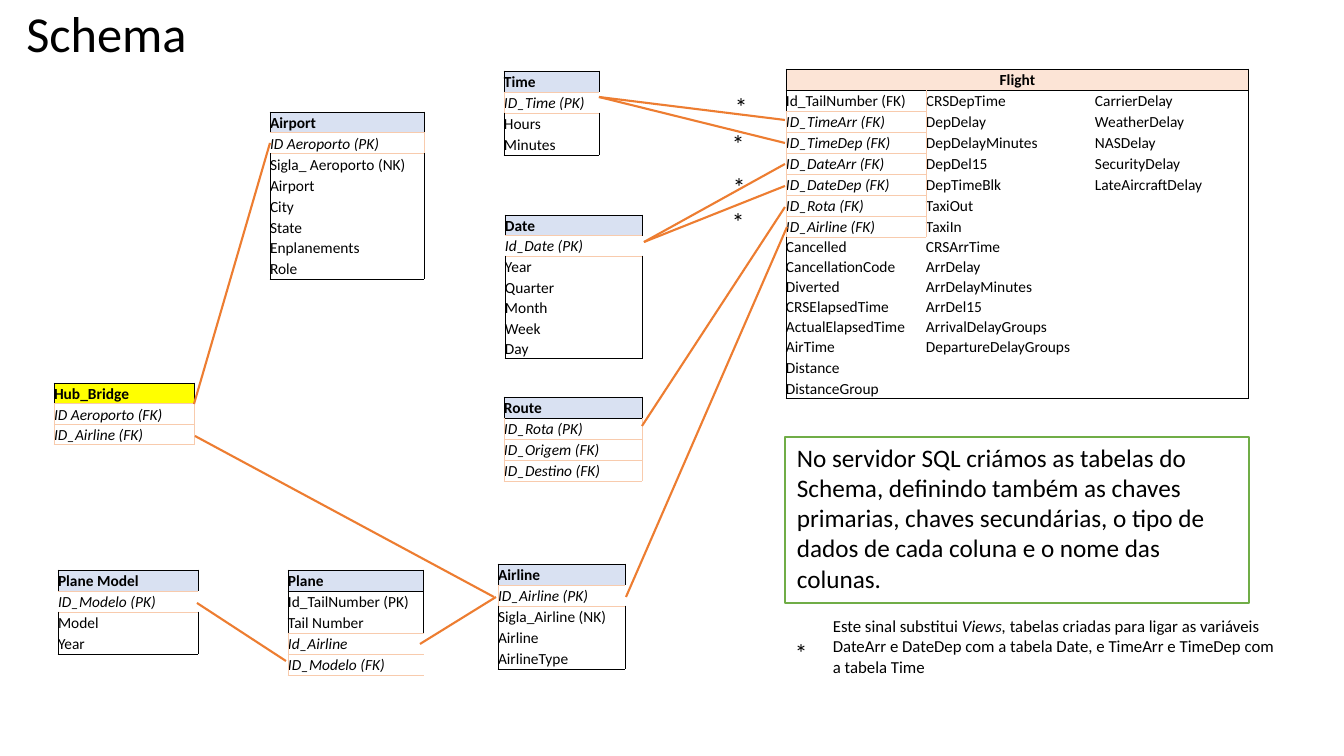
from itertools import zip_longest

from lxml import etree
from pptx import Presentation
from pptx import util as u
from pptx.dml.color import RGBColor
from pptx.enum import shapes, text
from pptx.oxml.ns import qn

EMU_PER_PX = 12192000 / 1344
BLACK, PEACH, WHITE = "000000", "F8CBAD", "FFFFFF"
ORANGE, GREEN, BLUE_HEAD, FLIGHT_HEAD, YELLOW = "ED7D31", "70AD47", "D9E1F2", "FCE4D6", "FFFF00"
LEFT, CENTER = text.PP_ALIGN.LEFT, text.PP_ALIGN.CENTER

# name, box, fields, positions of italic keys, peach sides of key rows, header fill, header rule
ENTITIES = [
    ("Route", (504, 397, 138, 84), ["ID_Rota (PK)", "ID_Origem (FK)", "ID_Destino (FK)"],
     {1, 2, 3}, "LR", BLUE_HEAD, BLACK),
    ("Airport", (270, 112, 154, 167),
     ["ID Aeroporto (PK)", "Sigla_ Aeroporto (NK)", "Airport", "City", "State", "Enplanements", "Role"],
     {1}, "R", BLUE_HEAD, PEACH),
    ("Date", (505, 215, 137, 144), ["Id_Date (PK)", "Year", "Quarter", "Month", "Week", "Day"],
     {1}, "", BLUE_HEAD, PEACH),
    ("Airline", (498, 564, 127, 105),
     ["ID_Airline (PK)", "Sigla_Airline (NK)", "Airline", "AirlineType"],
     {1}, "L", BLUE_HEAD, PEACH),
    ("Time", (504, 71, 95, 84), ["ID_Time (PK)", "Hours", "Minutes"], {1}, "L", BLUE_HEAD, PEACH),
    ("Plane", (288, 570, 136, 105),
     ["Id_TailNumber (PK)", "Tail Number", "Id_Airline", "ID_Modelo (FK)"],
     {3, 4}, "L", BLUE_HEAD, BLACK),
    ("Plane Model", (58, 570, 140, 84), ["ID_Modelo (PK)", "Model", "Year"], {1}, "", BLUE_HEAD, PEACH),
    ("Hub_Bridge", (54, 383, 140, 62), ["ID Aeroporto (FK)", "ID_Airline (FK)"],
     {1, 2}, "LR", YELLOW, PEACH),
]

FLIGHT_COLUMNS = [
    ["Id_TailNumber (FK)", "ID_TimeArr (FK)", "ID_TimeDep (FK)", "ID_DateArr (FK)", "ID_DateDep (FK)",
     "ID_Rota (FK)", "ID_Airline (FK)", "Cancelled", "CancellationCode", "Diverted", "CRSElapsedTime",
     "ActualElapsedTime", "AirTime", "Distance", "DistanceGroup"],
    ["CRSDepTime", "DepDelay", "DepDelayMinutes", "DepDel15", "DepTimeBlk", "TaxiOut", "TaxiIn",
     "CRSArrTime", "ArrDelay", "ArrDelayMinutes", "ArrDel15", "ArrivalDelayGroups",
     "DepartureDelayGroups"],
    ["CarrierDelay", "WeatherDelay", "NASDelay", "SecurityDelay", "LateAircraftDelay"],
]
FLIGHT_KEYS = 7

RELATIONS = [
    (642, 426, 785, 207), (644, 242, 785, 186), (644, 242, 785, 164),
    (599, 97, 785, 143), (599, 97, 785, 120), (626, 597, 787, 227),
    (420, 644, 496, 597), (197, 603, 286, 661), (194, 404, 270, 143), (195, 436, 494, 597),
]
VIEW_MARKS = [(725, 86), (722, 123), (723, 166), (722, 201), (785, 632)]


def px(length):
    return u.Emu(round(length * EMU_PER_PX))


def color(hex_code):
    return RGBColor.from_string(hex_code)


def write(paragraph, words, size=11, bold=False, italic=False, align=LEFT):
    paragraph.alignment = align
    run = paragraph.add_run()
    run.text = words
    font = run.font
    font.name, font.size, font.bold, font.italic = "Calibri", u.Pt(size), bold, italic
    font.color.rgb = color(BLACK)


def add_text(slide, box, pieces, wrap=True, **style):
    """Place a text box; pieces are (words, italic) pairs."""
    frame = slide.shapes.add_textbox(*map(px, box)).text_frame
    frame.word_wrap = wrap
    for words, italic in pieces:
        write(frame.paragraphs[0], words, italic=italic, **style)


def fill_cell(cell, words, edges, fill=WHITE, **style):
    """Write one cell; edges maps L, R, T, B to a colour, missing sides stay bare."""
    cell.margin_left = cell.margin_right = cell.margin_top = cell.margin_bottom = 0
    cell.vertical_anchor = text.MSO_ANCHOR.BOTTOM
    cell.fill.solid()
    cell.fill.fore_color.rgb = color(fill)
    paragraph = cell.text_frame.paragraphs[0]
    if words:
        write(paragraph, words, **style)
    else:
        etree.SubElement(paragraph._p, qn("a:endParaRPr"), sz="1100")
    properties = cell._tc.get_or_add_tcPr()
    for index, side in enumerate("LRTB"):
        line = etree.Element(qn("a:ln" + side), w=str(u.Pt(0.75)))
        if side in edges:
            paint = etree.SubElement(line, qn("a:solidFill"))
            etree.SubElement(paint, qn("a:srgbClr"), val=edges[side])
        else:
            etree.SubElement(line, qn("a:noFill"))
        properties.insert(index, line)


def add_grid(slide, left, top, widths, heights):
    table = slide.shapes.add_table(len(heights), len(widths), px(left), px(top),
                                   px(sum(widths)), px(sum(heights))).table
    table.first_row = table.horz_banding = False
    for column, width in zip(table.columns, widths):
        column.width = px(width)
    for row, height in zip(table.rows, heights):
        row.height = px(height)
    return table


def add_entity(slide, name, box, fields, keys, key_sides, head_fill, head_rule):
    left, top, width, height = box
    count = len(fields) + 1
    table = add_grid(slide, left, top, [width], [height / count] * count)
    fill_cell(table.cell(0, 0), name, {"L": BLACK, "R": BLACK, "T": BLACK, "B": head_rule},
              head_fill, bold=True)
    for row, field in enumerate(fields, 1):
        is_key = row in keys
        edges = dict.fromkeys(key_sides, PEACH) if is_key else {"L": BLACK, "R": BLACK}
        if row == 1:
            edges["T"] = head_rule
        elif is_key or row - 1 in keys:
            edges["T"] = PEACH
        if is_key or row + 1 in keys:
            edges["B"] = PEACH
        elif row == len(fields):
            edges["B"] = BLACK
        fill_cell(table.cell(row, 0), field, edges, italic=is_key)


def add_flight(slide, left, top):
    table = add_grid(slide, left, top, [140, 169, 154], [21] * 8 + [20] * 6 + [21] * 2)
    frame = dict.fromkeys("LRTB", BLACK)
    fill_cell(table.cell(0, 0), "Flight", frame, FLIGHT_HEAD, bold=True, align=CENTER)
    for column in (1, 2):
        fill_cell(table.cell(0, column), "", frame, FLIGHT_HEAD)
    table.cell(0, 0).merge(table.cell(0, 2))
    last = len(FLIGHT_COLUMNS[0])
    for row, fields in enumerate(zip_longest(*FLIGHT_COLUMNS, fillvalue=""), 1):
        for column, field in enumerate(fields):
            edges = {}
            is_key = column == 0 and row <= FLIGHT_KEYS
            if is_key:
                edges = dict.fromkeys("LRTB", PEACH)
            elif column == 1 and row <= FLIGHT_KEYS:
                edges["L"] = PEACH
            if column == 0 and (row == 1 or not is_key):
                edges["L"] = BLACK
            if column == 0 and row == FLIGHT_KEYS + 1:
                edges["T"] = PEACH
            if column == 2:
                edges["R"] = BLACK
            if row == 1:
                edges["T"] = BLACK
            if row == last:
                edges["B"] = BLACK
            fill_cell(table.cell(row, column), field, edges, italic=is_key and row > 1)


def add_relation(slide, *ends):
    line = slide.shapes.add_connector(shapes.MSO_CONNECTOR.STRAIGHT, *map(px, ends))
    line.line.color.rgb = color(ORANGE)
    line.line.width = u.Pt(1.5)
    etree.SubElement(line._element.spPr, qn("a:effectLst"))


def add_notes_panel(slide, left, top):
    add_text(slide, (left + 2, top, 462, 164), [(
        "No servidor SQL criámos as tabelas do Schema, definindo também as chaves primarias, "
        "chaves secundárias, o tipo de dados de cada coluna e o nome das colunas.", False)], size=18)
    frame = slide.shapes.add_shape(shapes.MSO_SHAPE.RECTANGLE, px(left), px(top), px(464), px(166))
    frame.shadow.inherit = False
    frame.fill.background()
    frame.line.color.rgb = color(GREEN)
    frame.line.width = u.Pt(1)
    add_text(slide, (left + 38, top + 174, 464, 72), [
        ("Este sinal substitui ", False), ("Views, ", True),
        ("tabelas criadas para ligar as variáveis DateArr e DateDep com a tabela Date, "
         "e TimeArr e TimeDep com a tabela Time", False)], size=12)


def main():
    deck = Presentation()
    deck.slide_width, deck.slide_height = px(1344), px(756)
    slide = deck.slides.add_slide(deck.slide_layouts[6])
    for entity in ENTITIES:
        add_entity(slide, *entity)
    add_flight(slide, 786, 69)
    for ends in RELATIONS:
        add_relation(slide, *ends)
    add_text(slide, (-52, -3, 317, 72), [("Schema", False)], size=36, align=CENTER)
    add_notes_panel(slide, 785, 437)
    for left, top in VIEW_MARKS:
        add_text(slide, (left, top, 33, 40), [("*", False)], wrap=False, size=18)
    deck.save("out.pptx")


if __name__ == "__main__":
    main()
